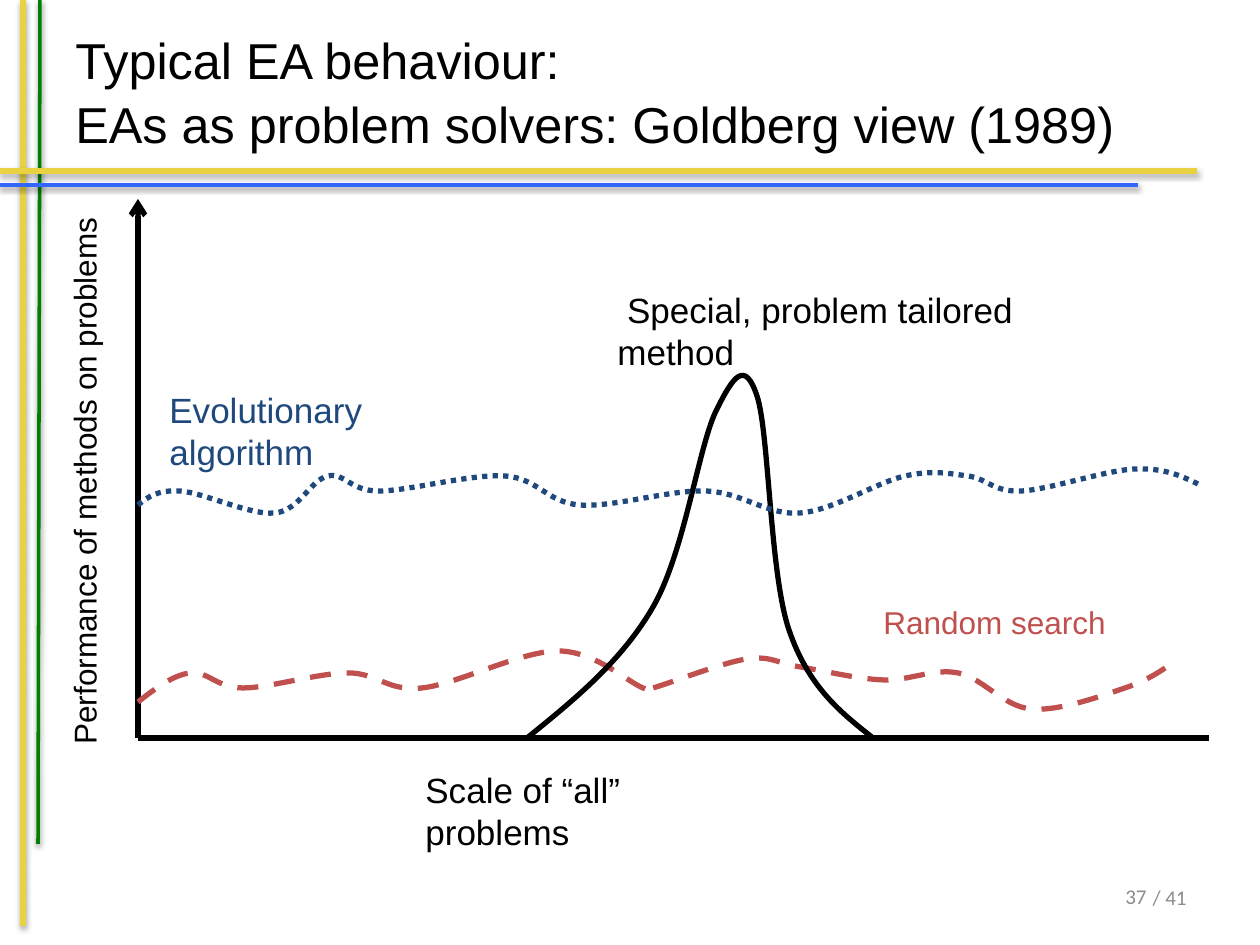
from dataclasses import dataclass

from lxml.etree import SubElement
from pptx import Presentation
from pptx.dml.color import RGBColor
from pptx.enum.dml import MSO_LINE
from pptx.enum.shapes import MSO_CONNECTOR
from pptx.enum.text import MSO_ANCHOR, PP_ALIGN
from pptx.oxml.ns import qn
from pptx.util import Emu, Inches, Pt

PIXELS_PER_INCH = 126
COLORS = {
    "yellow": "E8D241", "green": "008000", "blue": "3366FF", "black": "000000",
    "red": "C0504D", "navy": "1F497D", "gray": "8C8C8C",
}
Point = tuple[float, float]


@dataclass
class Line:
    start: Point
    end: Point
    color: str
    width: float = 3
    shadow: bool = False
    arrow: bool = False


@dataclass
class Curve:
    knots: list[Point]
    color: str
    dash: MSO_LINE | None = None


@dataclass
class Label:
    lines: list[str]
    box: tuple[int, int, int, int]
    size: float
    color: str = "black"
    font: str = "Arial"
    anchor: MSO_ANCHOR = MSO_ANCHOR.TOP
    align: PP_ALIGN = PP_ALIGN.LEFT
    rotation: int = 0
    wrap: bool = True
    spacing: float = 1.0


def px(pixels: float) -> Emu:
    return Emu(round(pixels * 914400 / PIXELS_PER_INCH))


def rgb(name: str) -> RGBColor:
    return RGBColor.from_string(COLORS[name])


def draw_line(slide, line: Line) -> None:
    connector = slide.shapes.add_connector(
        MSO_CONNECTOR.STRAIGHT, *map(px, line.start + line.end))
    connector.line.color.rgb = rgb(line.color)
    connector.line.width = Pt(line.width)
    properties = connector._element.spPr
    if line.arrow:
        SubElement(properties.find(qn("a:ln")), qn("a:tailEnd"), type="arrow")
    effects = SubElement(properties, qn("a:effectLst"))
    if line.shadow:
        shadow = SubElement(effects, qn("a:outerShdw"), blurRad=str(Pt(3.1)),
                            dist=str(Pt(1.6)), dir="5400000", rotWithShape="0")
        color = SubElement(shadow, qn("a:srgbClr"), val=COLORS["black"])
        SubElement(color, qn("a:alpha"), val="38000")


def bezier_points(knots: list[Point]) -> list[Point]:
    """Two control points and a knot for each segment of a smooth curve."""
    def control(knot: int, sign: int) -> Point:
        before, here, after = knots[knot - 1:knot + 2]
        return tuple(h + sign * (a - b) / 6 for b, h, a in zip(before, here, after))

    def middle(first: Point, second: Point) -> Point:
        return tuple((f + s) / 2 for f, s in zip(first, second))

    points, last = [], len(knots) - 1
    for index in range(last):
        leaving = control(index, 1) if index else None
        arriving = control(index + 1, -1) if index + 1 < last else None
        leaving = leaving or middle(knots[0], arriving)
        arriving = arriving or middle(leaving, knots[last])
        points += [leaving, arriving, knots[index + 1]]
    return points


def draw_curve(slide, curve: Curve) -> None:
    builder = slide.shapes.build_freeform(*map(px, curve.knots[0]))
    builder.add_line_segments(
        [(px(x), px(y)) for x, y in bezier_points(curve.knots)], close=False)
    shape = builder.convert_to_shape()
    shape.shadow.inherit = False
    shape.fill.background()
    shape.line.color.rgb = rgb(curve.color)
    shape.line.width = Pt(3)
    if curve.dash is not None:
        shape.line.dash_style = curve.dash
    # Every three straight segments become one Bezier segment
    outline = next(shape._element.iter(qn("a:path")))
    segments = outline.findall(qn("a:lnTo"))
    for first in range(0, len(segments), 3):
        bezier = SubElement(outline, qn("a:cubicBezTo"))
        for segment in segments[first:first + 3]:
            bezier.append(segment[0])
            outline.remove(segment)


def draw_label(slide, label: Label) -> None:
    shape = slide.shapes.add_textbox(*map(px, label.box))
    shape.rotation = label.rotation
    frame = shape.text_frame
    frame.word_wrap = label.wrap
    frame.vertical_anchor = label.anchor
    paragraph = frame.paragraphs[0]
    paragraph.alignment = label.align
    paragraph.line_spacing = label.spacing
    for index, text in enumerate(label.lines):
        if index:
            paragraph.add_line_break()
        run = paragraph.add_run()
        run.text = text
        run.font.name = label.font
        run.font.size = Pt(label.size)
        run.font.color.rgb = rgb(label.color)


FRAME_LINES = [
    Line((23, 0), (23, 926), "yellow", shadow=True),
    Line((40, 0), (38, 844), "green", 2, shadow=True),
    Line((0, 171), (1197, 171), "yellow", shadow=True),
    Line((0, 185), (1138, 185), "blue", 2, shadow=True),
]
AXES = [
    Line((138, 738), (1209, 738), "black"),
    Line((138, 738), (138, 199), "black", arrow=True),
]
RANDOM_SEARCH = Curve(
    [(138, 702), (190, 673), (243, 688), (348, 673), (422, 688), (558, 651),
     (643, 688), (653, 688), (747, 659), (800, 667), (883, 680), (958, 673),
     (1031, 709), (1125, 688), (1178, 659)], "red", MSO_LINE.DASH)
SPECIAL_METHOD = Curve(
    [(527, 738), (653, 607), (716, 411), (757, 396), (789, 630), (873, 738)], "black")
EVOLUTIONARY = Curve(
    [(138, 505), (180, 491), (275, 513), (328, 476), (379, 491), (505, 476),
     (580, 505), (706, 491), (800, 513), (905, 476), (968, 476), (1021, 491),
     (1135, 469), (1198, 484)], "navy", MSO_LINE.ROUND_DOT)
FOOTER = dict(size=12, color="gray", font="Calibri",
              anchor=MSO_ANCHOR.MIDDLE, align=PP_ALIGN.RIGHT)
LABELS = [
    Label(["Typical EA behaviour:", "EAs as problem solvers: Goldberg view (1989)"],
          (63, 11, 1134, 158), 28.8, anchor=MSO_ANCHOR.MIDDLE, spacing=1.05),
    Label(["Scale of “all” problems"], (413, 762, 366, 54), 20),
    Label(["Performance of methods on problems"], (-192, 456, 552, 50), 18,
          rotation=270, wrap=False),
    Label(["Random search"], (871, 597, 323, 63), 18, "red"),
    Label([" Special, problem tailored method"], (605, 282, 540, 54), 20),
    Label(["Evolutionary algorithm"], (157, 382, 366, 54), 20, "navy"),
    Label(["37"], (1085, 862, 74, 69), **FOOTER),
    Label(["/ 41"], (1125, 863, 74, 69), **FOOTER),
]

presentation = Presentation()
presentation.slide_width, presentation.slide_height = Inches(10), Inches(7.5)
slide = presentation.slides.add_slide(presentation.slide_layouts[6])

# Frame and axes
for line in FRAME_LINES + AXES:
    draw_line(slide, line)

# Performance curves
for curve in (RANDOM_SEARCH, SPECIAL_METHOD, EVOLUTIONARY):
    draw_curve(slide, curve)

# Title, labels and page number
for label in LABELS:
    draw_label(slide, label)

presentation.save("out.pptx")
